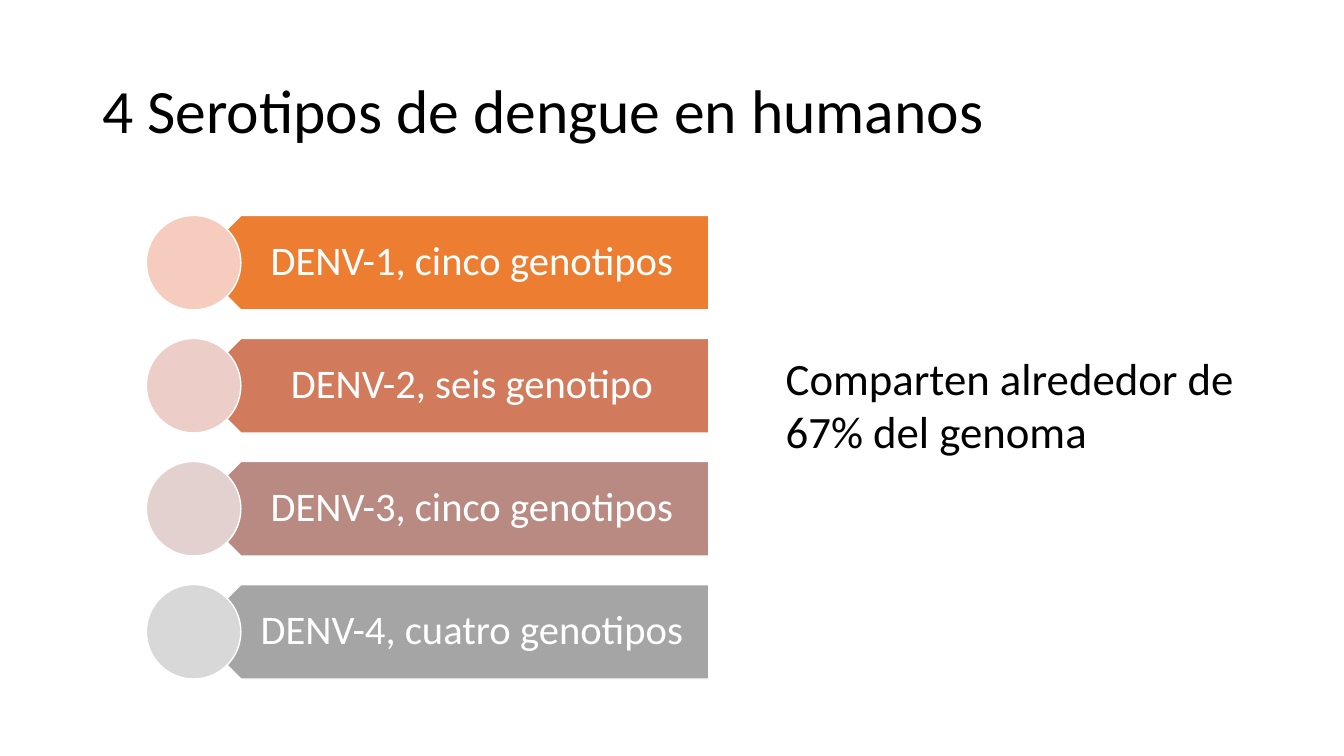
from collections import namedtuple
from dataclasses import dataclass

from pptx import Presentation
from pptx.dml.color import RGBColor
from pptx.enum.shapes import MSO_SHAPE as Preset
from pptx.enum.text import MSO_ANCHOR as Anchor, PP_ALIGN as Align
from pptx.util import Cm, Pt

Box = namedtuple("Box", "left top width height")
Serotype = namedtuple("Serotype", "label bar_color circle_color")


@dataclass(frozen=True)
class Theme:
    font: str = "Calibri"
    ink: str = "000000"
    paper: str = "FFFFFF"
    title_size: int = 44
    label_size: int = 29
    note_size: int = 32
    outline: int = 1


THEME = Theme()
SEROTYPES = [
    Serotype("DENV-1, cinco genotipos", "ED7D31", "F6CCBE"),
    Serotype("DENV-2, seis genotipo", "D17B5C", "EDCDC7"),
    Serotype("DENV-3, cinco genotipos", "B98A82", "E3D1CF"),
    Serotype("DENV-4, cuatro genotipos", "A5A5A5", "D8D8D8"),
]


def add_text(slide, box, text, *, size, color=THEME.ink, align=Align.LEFT,
             anchor=Anchor.TOP, spacing=1.0, wrap=True,
             insets=(0.25, 0.13, 0.25, 0.13)):
    frame = slide.shapes.add_textbox(*map(Cm, box)).text_frame
    frame.word_wrap = wrap
    frame.vertical_anchor = anchor
    (frame.margin_left, frame.margin_top,
     frame.margin_right, frame.margin_bottom) = map(Cm, insets)
    paragraph = frame.paragraphs[0]
    paragraph.text = text
    paragraph.alignment = align
    paragraph.line_spacing = spacing
    for run in paragraph.runs:
        run.font.name = THEME.font
        run.font.size = Pt(size)
        run.font.color.rgb = RGBColor.from_string(color)


def add_outlined(slide, preset, box, color, rotation=0):
    figure = slide.shapes.add_shape(preset, *map(Cm, box))
    figure.rotation = rotation
    figure.shadow.inherit = False
    figure.fill.solid()
    figure.fill.fore_color.rgb = RGBColor.from_string(color)
    figure.line.color.rgb = RGBColor.from_string(THEME.paper)
    figure.line.width = Pt(THEME.outline)


def add_title(slide, box):
    add_text(slide, box, "4 Serotipos de dengue en humanos",
             size=THEME.title_size, anchor=Anchor.MIDDLE, spacing=0.9)


def add_serotype(slide, box, serotype):
    diameter = box.height
    right = box.left + box.width
    bar_left = box.left + diameter / 2
    label_left = box.left + diameter * 0.75
    add_outlined(slide, Preset.PENTAGON,
                 Box(bar_left, box.top, right - bar_left, diameter),
                 serotype.bar_color, rotation=180)
    add_text(slide, Box(label_left, box.top, right - label_left, diameter),
             serotype.label, size=THEME.label_size, color=THEME.paper,
             align=Align.CENTER, anchor=Anchor.MIDDLE, spacing=0.9,
             insets=(1.04, 0.3, 0.58, 0.3))
    add_outlined(slide, Preset.OVAL,
                 Box(box.left, box.top, diameter, diameter),
                 serotype.circle_color)


def add_serotype_list(slide, box, row_height=2.38):
    pitch = (box.height - row_height) / (len(SEROTYPES) - 1)
    for index, serotype in enumerate(SEROTYPES):
        row = Box(box.left, box.top + index * pitch, box.width, row_height)
        add_serotype(slide, row, serotype)


def add_genome_note(slide, box):
    add_text(slide, box, "Comparten alrededor de \v67% del genoma",
             size=THEME.note_size, wrap=False)


def main():
    deck = Presentation()
    deck.slide_width, deck.slide_height = Cm(33.87), Cm(19.05)
    slide = deck.slides.add_slide(deck.slide_layouts[6])
    add_title(slide, Box(2.33, 1.01, 29.21, 3.68))
    add_serotype_list(slide, Box(3.69, 5.43, 14.17, 11.68))
    add_genome_note(slide, Box(19.55, 8.7, 12.19, 3))
    deck.save("out.pptx")


if __name__ == "__main__":
    main()
